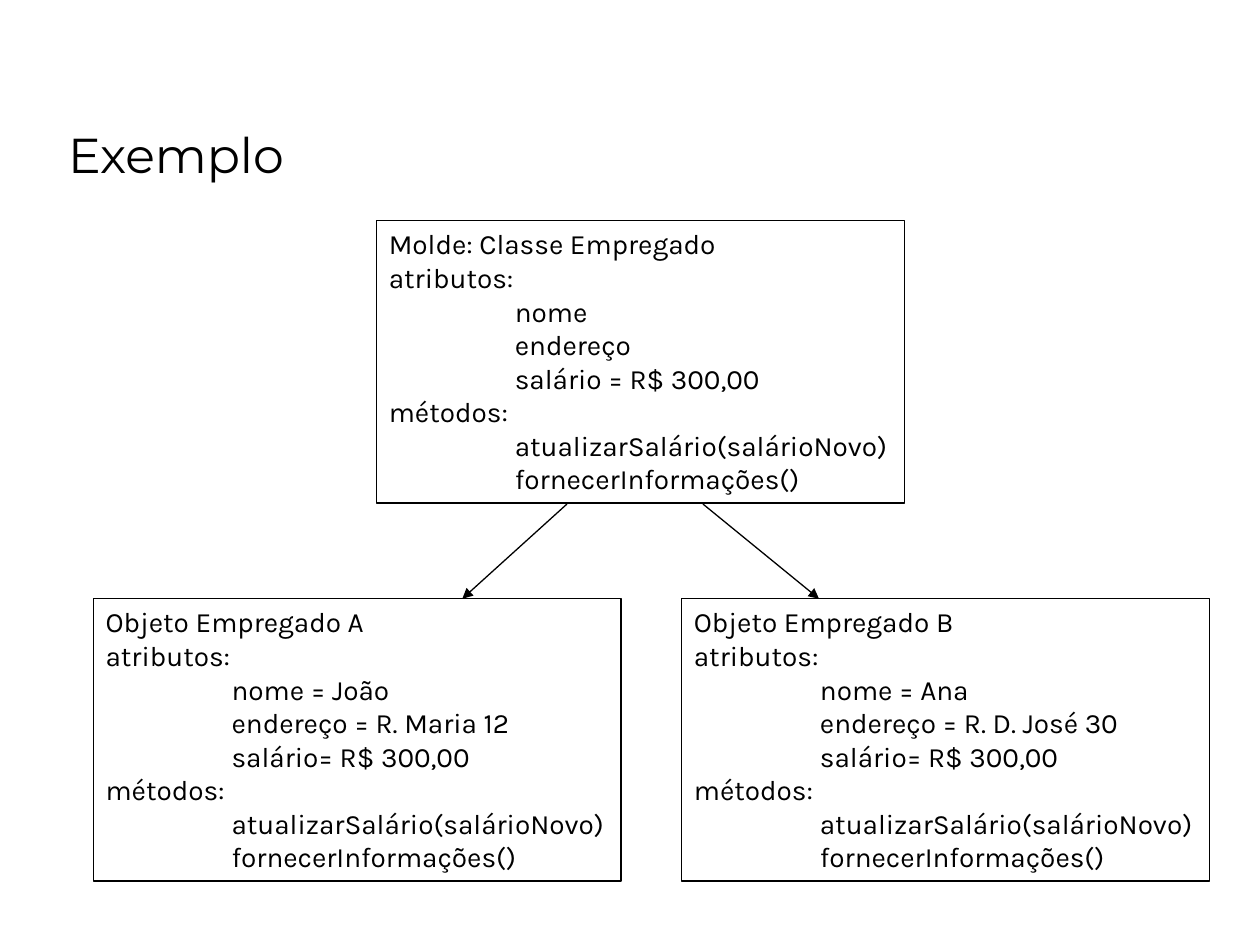
from dataclasses import dataclass

from lxml.etree import SubElement
from pptx import Presentation
from pptx.dml.color import RGBColor
from pptx.enum.shapes import MSO_CONNECTOR as Connector, MSO_SHAPE as Shape
from pptx.enum.text import MSO_ANCHOR as Anchor, MSO_AUTO_SIZE as AutoSize, PP_ALIGN as Align
from pptx.oxml.ns import qn
from pptx.util import Cm, Pt


@dataclass(frozen=True)
class Theme:
    ink: RGBColor = RGBColor(0, 0, 0)
    title_font: str = "Montserrat"
    title_size: Pt = Pt(28)
    body_font: str = "Karla"
    body_size: Pt = Pt(16)
    line_width: Pt = Pt(0.75)


THEME = Theme()
BOX_WIDTH, BOX_HEIGHT = Cm(10.64), Cm(5.69)
CLASS_TOP, OBJECT_TOP = Cm(4.45), Cm(12.07)
TAB_STOP = Cm(2.54)
METHODS = ["atualizarSalário(salárioNovo)", "fornecerInformações()"]


def add_run(paragraph, text, font_name, size):
    run = paragraph.add_run()
    run.text = text
    run.font.name = font_name
    run.font.size = size
    run.font.color.rgb = THEME.ink


def add_title(slide, text):
    title = slide.shapes.title
    title.left, title.top, title.width, title.height = Cm(1.12), Cm(0.64), Cm(21.59), Cm(3.18)
    frame = title.text_frame
    frame.auto_size = AutoSize.NONE
    frame.vertical_anchor = Anchor.BOTTOM
    paragraph = frame.paragraphs[0]
    paragraph.alignment = Align.LEFT
    add_run(paragraph, text, THEME.title_font, THEME.title_size)


def add_tab_stop(paragraph):
    tab_list = SubElement(paragraph._p.get_or_add_pPr(), qn("a:tabLst"))
    SubElement(tab_list, qn("a:tab"), pos=str(TAB_STOP), algn="l")


def add_class_box(slide, left, top, heading, attributes):
    box = slide.shapes.add_shape(Shape.RECTANGLE, left, top, BOX_WIDTH, BOX_HEIGHT)
    box.shadow.inherit = False
    box.fill.background()
    box.line.color.rgb = THEME.ink
    box.line.width = THEME.line_width

    frame = box.text_frame
    frame.word_wrap = False
    frame.auto_size = AutoSize.SHAPE_TO_FIT_TEXT
    frame.vertical_anchor = Anchor.TOP

    # Members are set one tab in from the headings
    lines = [heading, "atributos:", *(f"\t{name}" for name in attributes),
             "métodos:", *(f"\t{name}" for name in METHODS)]
    for index, line in enumerate(lines):
        paragraph = frame.add_paragraph() if index else frame.paragraphs[0]
        paragraph.alignment = Align.LEFT
        add_tab_stop(paragraph)
        add_run(paragraph, line, THEME.body_font, THEME.body_size)


def add_arrow(slide, start_x, end_x):
    arrow = slide.shapes.add_connector(Connector.STRAIGHT, start_x, Cm(10.16), end_x, OBJECT_TOP)
    arrow.line.color.rgb = THEME.ink
    arrow.line.width = THEME.line_width
    SubElement(arrow.line._get_or_add_ln(), qn("a:tailEnd"), type="triangle")
    SubElement(arrow._element.spPr, qn("a:effectLst"))


def main():
    presentation = Presentation()
    presentation.slide_width, presentation.slide_height = Cm(25.4), Cm(19.05)
    slide = presentation.slides.add_slide(presentation.slide_layouts[5])
    add_title(slide, "Exemplo")

    # Class that serves as the mould
    add_class_box(slide, Cm(7.59), CLASS_TOP, "Molde: Classe Empregado",
                  ["nome", "endereço", "salário = R$ 300,00"])

    # Objects made from the class
    employees = [
        (Cm(1.88), "A", "João", "R. Maria 12"),
        (Cm(13.74), "B", "Ana", "R. D. José 30"),
    ]
    for left, letter, name, address in employees:
        add_class_box(slide, left, OBJECT_TOP, f"Objeto Empregado {letter}",
                      [f"nome = {name}", f"endereço = {address}", "salário= R$ 300,00"])

    # Arrows from the class to its objects
    for start_x, end_x in [(Cm(11.43), Cm(9.32)), (Cm(14.17), Cm(16.51))]:
        add_arrow(slide, start_x, end_x)

    presentation.save("out.pptx")


if __name__ == "__main__":
    main()
